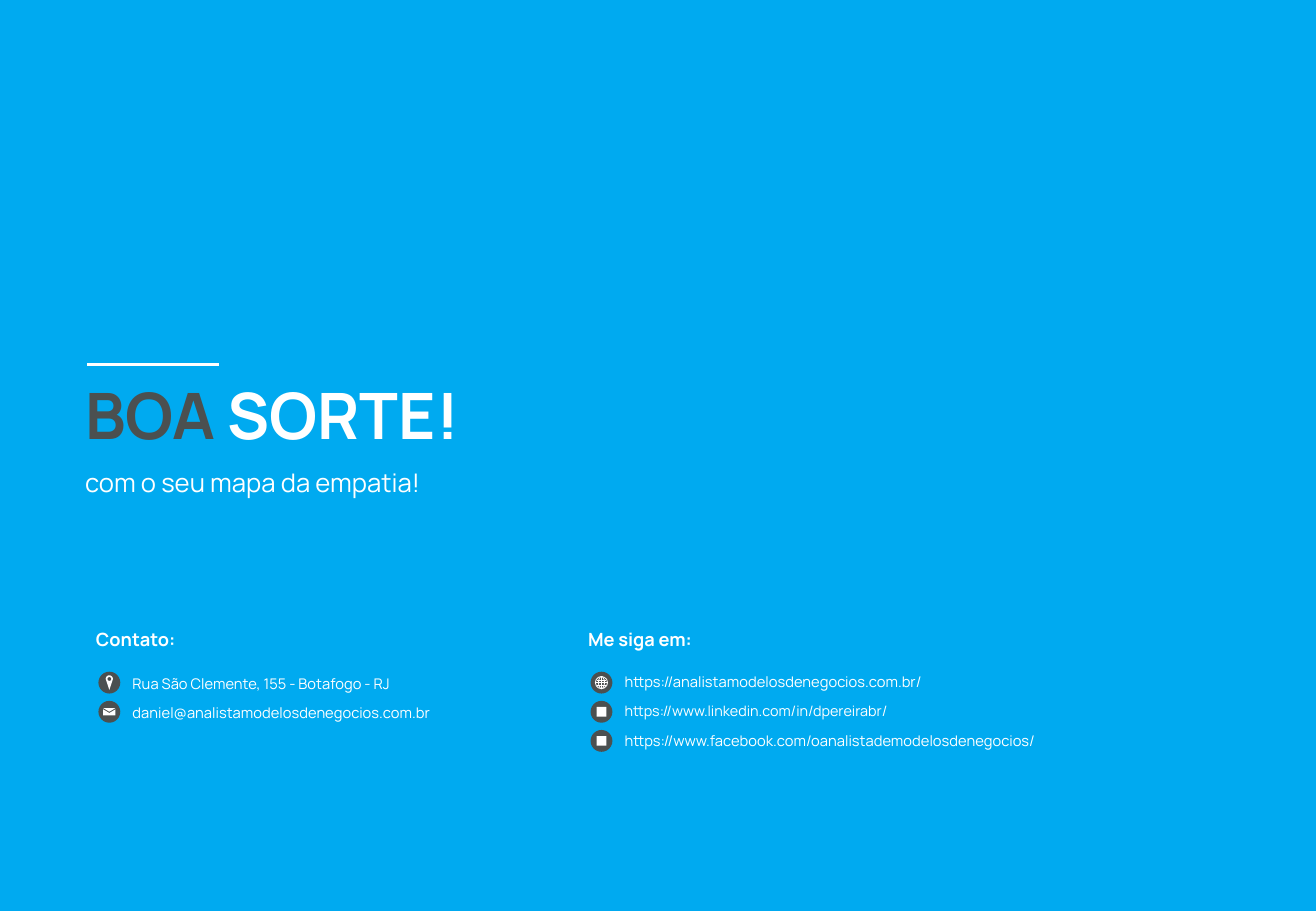
from math import cos, pi, sin

from lxml.etree import SubElement
from pptx import Presentation
from pptx.dml.color import RGBColor
from pptx.enum.shapes import MSO_CONNECTOR as CONN, MSO_SHAPE as SHAPE
from pptx.enum.text import MSO_ANCHOR as ANCHOR, PP_ALIGN as ALIGN
from pptx.oxml.ns import qn
from pptx.util import Inches, Pt

# Content
TITLE = [("BOA ", "dark"), ("SORTE!", "white")]
SUBTITLE = "com o seu mapa da empatia!"
COLUMNS = [
    dict(head="Contato:", left=0.79, text_drop=0.02, rows=[
        ("pin", "Rua São Clemente, 155 - Botafogo - RJ", "body"),
        ("mail", "daniel@analistamodelosdenegocios.com.br", "body")]),
    dict(head="Me siga em:", left=4.84, text_drop=0.01, rows=[
        ("globe", "https://analistamodelosdenegocios.com.br/", "body"),
        ("square", "https://www.linkedin.com/in/dpereirabr/", "small"),
        ("square", "https://www.facebook.com/oanalistademodelosdenegocios/", "body")]),
]

THEME = dict(
    font="Manrope",
    color={k: RGBColor.from_string(v) for k, v in
           dict(sky="00AAF0", dark="4B5050", white="FFFFFF").items()},
    size=dict(title=37.9, subtitle=15.2, head=10.8, body=8.7, small=8.5),
)
COLOR = THEME["color"]

# Layout
HEAD_TOP, ROW_TOP, ROW_STEP = 5.17, 5.53, 0.24
ICON, ICON_INDENT, TEXT_INDENT = 0.18, 0.02, 0.3

prs = Presentation()
prs.slide_width, prs.slide_height = Inches(10.83), Inches(7.5)
s = prs.slides.add_slide(prs.slide_layouts[5])
s.background.fill.solid()
s.background.fill.fore_color.rgb = COLOR["sky"]


def write(sp, runs, size, bold=False):
    tf = sp.text_frame
    frame = dict(margin_left=0, margin_top=0, margin_right=0, margin_bottom=0,
                 word_wrap=True, vertical_anchor=ANCHOR.MIDDLE)
    for name, value in frame.items():
        setattr(tf, name, value)
    p = tf.paragraphs[0]
    p.alignment = ALIGN.LEFT
    for text, color in runs:
        r = p.add_run()
        r.text = text
        style = dict(name=THEME["font"], size=Pt(THEME["size"][size]), bold=bold)
        for name, value in style.items():
            setattr(r.font, name, value)
        r.font.color.rgb = COLOR[color]


def label(text, box, size, bold=False):
    write(s.shapes.add_textbox(*map(Inches, box)), [(text, "white")], size, bold)


def paint(sp, fill):
    sp.shadow.inherit = False
    sp.fill.solid()
    sp.fill.fore_color.rgb = COLOR[fill]
    sp.line.fill.background()
    return sp


def centred(kind, cx, cy, w, h, fill):
    box = map(Inches, (cx - w / 2, cy - h / 2, w, h))
    return paint(s.shapes.add_shape(kind, *box), fill)


def line(x1, y1, x2, y2, width):
    c = s.shapes.add_connector(CONN.STRAIGHT, *map(Inches, (x1, y1, x2, y2)))
    c.line.color.rgb = COLOR["white"]
    c.line.width = Pt(width)
    SubElement(c._element.spPr, qn("a:effectLst"))


def outline(cx, cy, points):
    pts = [(Inches(cx + x), Inches(cy + y)) for x, y in points]
    fb = s.shapes.build_freeform(*pts[0])
    fb.add_line_segments(pts[1:])
    paint(fb.convert_to_shape(), "white")


# Icons, each drawn around its centre
def pin(cx, cy):
    arc = [pi * (1 + i / 12) for i in range(13)]
    outline(cx, cy, [(0.03 * cos(a), 0.03 * sin(a) - 0.03) for a in arc] + [(0, 0.06)])
    centred(SHAPE.OVAL, cx, cy - 0.03, 0.03, 0.03, "dark")


def mail(cx, cy):
    outline(cx, cy, [(-0.05, -0.03), (0.05, -0.03), (0, 0)])
    outline(cx, cy, [(-0.05, -0.02), (0, 0.01), (0.05, -0.02), (0.05, 0.03), (-0.05, 0.03)])


def globe(cx, cy):
    for width in (0.1, 0.05):
        ring = centred(SHAPE.OVAL, cx, cy, width, 0.1, "dark")
        ring.line.color.rgb = COLOR["white"]
        ring.line.width = Pt(0.5)
    line(cx, cy - 0.05, cx, cy + 0.05, 0.5)
    for dy, half in ((-0.02, 0.04), (0, 0.05), (0.02, 0.04)):
        line(cx - half, cy + dy, cx + half, cy + dy, 0.5)


def square(cx, cy):
    centred(SHAPE.RECTANGLE, cx, cy, 0.08, 0.08, "white")


ICONS = dict(pin=pin, mail=mail, globe=globe, square=square)

# Title, accent rule and subtitle
title = s.shapes.title
for name, value in dict(left=0.7, top=3.09, width=9.42, height=0.64).items():
    setattr(title, name, Inches(value))
write(title, TITLE, "title", bold=True)
line(0.72, 3, 1.8, 3, 2.25)
label(SUBTITLE, (0.7, 3.84, 9.42, 0.26), "subtitle")

# Contact columns
for col in COLUMNS:
    left = col["left"]
    label(col["head"], (left, HEAD_TOP, 2.26, 0.18), "head", bold=True)
    for i, (icon, text, size) in enumerate(col["rows"]):
        top = ROW_TOP + i * ROW_STEP
        cx, cy = left + ICON_INDENT + ICON / 2, top + ICON / 2
        centred(SHAPE.OVAL, cx, cy, ICON, ICON, "dark")
        ICONS[icon](cx, cy)
        label(text, (left + TEXT_INDENT, top + col["text_drop"], 3.61, 0.15), size)

prs.save("out.pptx")
